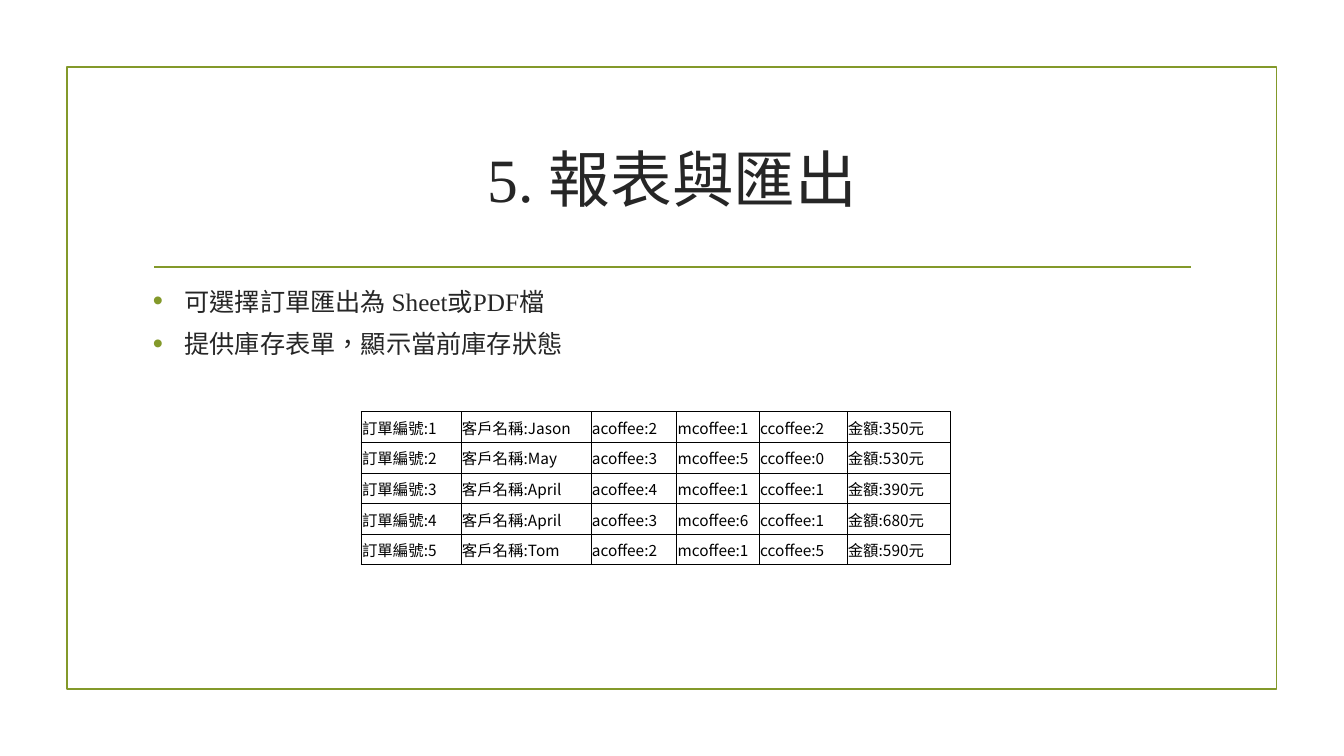
from lxml import etree
from pptx import Presentation
from pptx.dml.color import RGBColor
from pptx.enum.shapes import MSO_CONNECTOR as CONNECTOR, MSO_SHAPE as SHAPE
from pptx.enum.text import MSO_ANCHOR as ANCHOR, PP_ALIGN as ALIGN
from pptx.oxml.ns import qn
from pptx.util import Pt

TITLE = "5. 報表與匯出"
BULLETS = ["可選擇訂單匯出為 Sheet或PDF檔", "提供庫存表單，顯示當前庫存狀態"]
LABELS = ["訂單編號:{}", "客戶名稱:{}", "acoffee:{}", "mcoffee:{}", "ccoffee:{}", "金額:{}元"]
ORDERS = [
    (1, "Jason", 2, 1, 2, 350),
    (2, "May", 3, 5, 0, 530),
    (3, "April", 4, 1, 1, 390),
    (4, "April", 3, 6, 1, 680),
    (5, "Tom", 2, 1, 5, 590),
]
COL_WIDTHS = [71.3, 92.9, 61.2, 59, 62.6, 74.2]
ROW_HEIGHT = 21.85
TITLE_SIZE, BODY_SIZE, TABLE_SIZE = 44, 18, 11
LINE_RATIO = 1.15
SERIF, SANS = "Times New Roman", "Noto Sans CJK TC"
GREEN = RGBColor(0x83, 0x99, 0x2A)
DARK = RGBColor(0x26, 0x26, 0x26)
BLACK = RGBColor(0, 0, 0)


def add_run(p, text, size, font, color):
    r = p.add_run()
    r.text = text
    r.font.size = Pt(size)
    r.font.name = font
    r.font.color.rgb = color
    r.font._element.set("lang", "zh-TW")
    etree.SubElement(r.font._element, qn("a:ea"), typeface=SANS)


def add_text(slide, left, top, width, height, anchor):
    sp = slide.shapes.add_textbox(Pt(left), Pt(top), Pt(width), Pt(height))
    tf = sp.text_frame
    tf.word_wrap = True
    tf.vertical_anchor = anchor
    return tf


def add_bullet(p):
    p.space_before, p.space_after = Pt(3.6), Pt(6)
    pPr = p._p.get_or_add_pPr()
    pPr.set("marL", str(Pt(22.5)))
    pPr.set("indent", str(-Pt(22.5)))
    color = etree.SubElement(pPr, qn("a:buClr"))
    etree.SubElement(color, qn("a:srgbClr"), val=str(GREEN))
    etree.SubElement(pPr, qn("a:buSzPct"), val="115000")
    etree.SubElement(pPr, qn("a:buFont"), typeface="Arial")
    etree.SubElement(pPr, qn("a:buChar"), char="•")


def add_border(cell, side, width):
    ln = etree.SubElement(cell._tc.get_or_add_tcPr(), qn("a:ln" + side), w=str(Pt(width)))
    fill = etree.SubElement(ln, qn("a:solidFill"))
    etree.SubElement(fill, qn("a:srgbClr"), val=str(BLACK))


def add_frame(slide):
    sp = slide.shapes.add_shape(SHAPE.RECTANGLE, Pt(47.8), Pt(48), Pt(864), Pt(444))
    sp.shadow.inherit = False
    sp.fill.background()
    rule = slide.shapes.add_connector(CONNECTOR.STRAIGHT, Pt(110.2), Pt(190.8), Pt(850.5), Pt(190.8))
    etree.SubElement(rule._element.spPr, qn("a:effectLst"))
    for s in (sp, rule):
        s.line.color.rgb = GREEN
        s.line.width = Pt(1.25)


def add_orders(slide):
    rows, cols = len(ORDERS), len(LABELS)
    table = slide.shapes.add_table(rows, cols, Pt(258), Pt(294.2),
                                   Pt(sum(COL_WIDTHS)), Pt(rows * ROW_HEIGHT)).table
    table.first_row = table.horz_banding = False
    for column, width in zip(table.columns, COL_WIDTHS):
        column.width = Pt(width)
    for i, order in enumerate(ORDERS):
        table.rows[i].height = Pt(ROW_HEIGHT)
        for j, value in enumerate(order):
            cell = table.cell(i, j)
            cell.vertical_anchor = ANCHOR.MIDDLE
            cell.margin_left = cell.margin_top = cell.margin_right = Pt(0.6)
            cell.margin_bottom = 0
            outer = {"L": j == 0, "R": j == cols - 1, "T": i == 0, "B": i == rows - 1}
            for side, on_edge in outer.items():
                add_border(cell, side, 1 if on_edge else 0.5)
            cell.fill.background()
            add_run(cell.text_frame.paragraphs[0], LABELS[j].format(value), TABLE_SIZE, SANS, BLACK)


def main():
    prs = Presentation()
    prs.slide_width, prs.slide_height = Pt(960), Pt(540)
    slide = prs.slides.add_slide(prs.slide_layouts[6])
    add_frame(slide)

    p = add_text(slide, 102.2, 77, 756, 103, ANCHOR.MIDDLE).paragraphs[0]
    p.alignment = ALIGN.CENTER
    p.line_spacing = Pt(TITLE_SIZE * LINE_RATIO)
    add_run(p, TITLE, TITLE_SIZE, SERIF, DARK)

    tf = add_text(slide, 102.2, 201.6, 756, 261.4, ANCHOR.TOP)
    for i, text in enumerate(BULLETS):
        p = tf.add_paragraph() if i else tf.paragraphs[0]
        p.line_spacing = Pt(BODY_SIZE * LINE_RATIO)
        add_bullet(p)
        add_run(p, text, BODY_SIZE, SERIF, DARK)

    add_orders(slide)
    prs.save("out.pptx")


if __name__ == "__main__":
    main()
